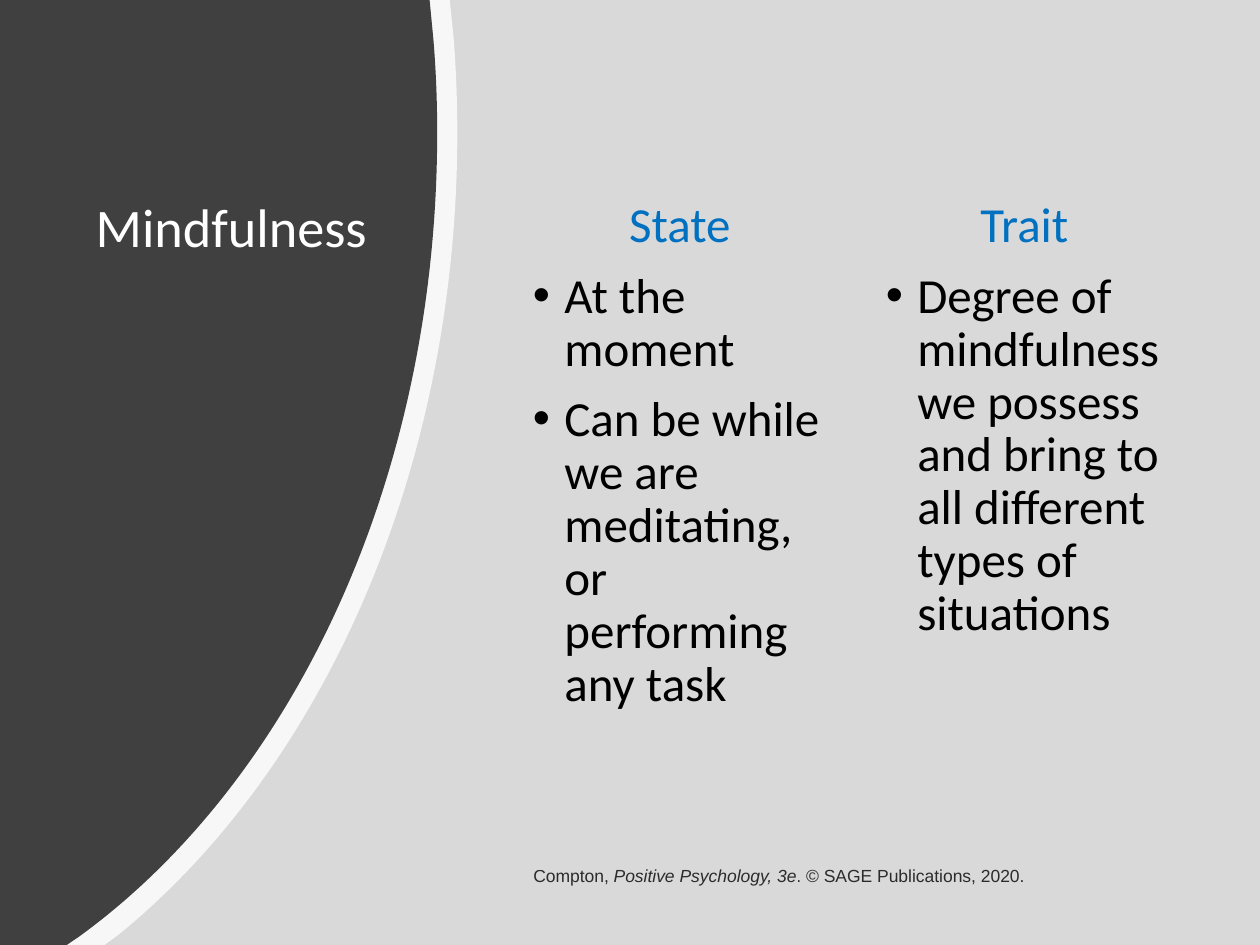
from dataclasses import dataclass

from lxml import etree
from pptx import Presentation
from pptx.dml.color import RGBColor
from pptx.enum.shapes import MSO_SHAPE
from pptx.enum.text import MSO_ANCHOR, MSO_AUTO_SIZE, PP_ALIGN
from pptx.oxml.ns import qn
from pptx.util import Inches, Pt

RECT = MSO_SHAPE.RECTANGLE
TOP, MID = MSO_ANCHOR.TOP, MSO_ANCHOR.MIDDLE
LEFT, CENTER, RIGHT = PP_ALIGN.LEFT, PP_ALIGN.CENTER, PP_ALIGN.RIGHT
FIXED = MSO_AUTO_SIZE.NONE


@dataclass(frozen=True)
class Theme:
    back: str = "D9D9D9"
    dark: str = "404040"
    light: str = "FFFFFF"
    head: str = "0070C0"
    ink: str = "000000"
    body: str = "Calibri"
    note: str = "Arial"
    title_size: float = 31
    body_size: float = 28
    note_size: float = 10
    alpha: int = 80


THEME = Theme()


def paint(fill, color, alpha=100):
    """Fill with a solid colour, see-through when alpha is below 100."""
    fill.solid()
    fill.fore_color.rgb = RGBColor.from_string(color)
    if alpha < 100:
        for node in fill._xPr.iter(qn("a:srgbClr")):
            etree.SubElement(node, qn("a:alpha"), val=str(alpha * 1000))


def write(para, text, *, size, color, font=THEME.body, align=LEFT, line=None,
          before=0, after=0, bullet=None, italic=None, alpha=100):
    """Add a run of text to a paragraph and format both."""
    props = para._p.get_or_add_pPr()
    indent = Inches(0.25) if bullet else 0
    props.set("marL", str(indent))
    props.set("indent", str(-indent))
    if bullet and props.find(qn("a:buChar")) is None:
        etree.SubElement(props, qn("a:buChar"), char=bullet)
    elif not bullet and props.find(qn("a:buNone")) is None:
        etree.SubElement(props, qn("a:buNone"))
    para.alignment = align
    para.line_spacing = line
    para.space_before, para.space_after = Pt(before), Pt(after)
    run = para.add_run()
    run.text = text
    run.font.name, run.font.size = font, Pt(size)
    run.font.italic = italic
    paint(run.font.fill, color, alpha)


def place(holder, box):
    """Move a placeholder to its box, in front of the backdrop."""
    holder.left, holder.top, holder.width, holder.height = map(Inches, box)
    holder.element.getparent().append(holder.element)
    frame = holder.text_frame
    frame.word_wrap, frame.auto_size = True, FIXED
    frame.vertical_anchor = TOP
    return frame


def bend(lines):
    """Turn three successive line segments into one cubic curve."""
    curve = etree.Element(qn("a:cubicBezTo"))
    lines[0].addprevious(curve)
    for line in lines:
        curve.append(line[0])
        line.getparent().remove(line)


def sweep(slide, box, edge, color, alpha=100):
    """Panel with a right edge of two lines, two curves and a line."""
    left, top, _, height = box
    pen = slide.shapes.build_freeform(Inches(left), Inches(top))
    pen.add_line_segments([(Inches(left + x), Inches(top + y))
                           for x, y in [*edge, (0, height)]])
    shape = pen.convert_to_shape()
    lines = list(shape.element.iter(qn("a:lnTo")))
    bend(lines[2:5])
    bend(lines[5:8])
    shape.shadow.inherit = False
    shape.line.fill.background()
    paint(shape.fill, color, alpha)


def backdrop(slide, box):
    rect = slide.shapes.add_shape(RECT, *map(Inches, box))
    rect.shadow.inherit = False
    rect.line.fill.background()
    paint(rect.fill, THEME.back)
    # Pale rim, then the dark panel over it
    sweep(slide, box,
          [(3.57, 0), (3.6, 0.29), (3.62, 0.54), (3.63, 0.8), (3.63, 1.05),
           (3.63, 3.75), (2.55, 6.11), (0.94, 7.42), (0.83, 7.5)],
          THEME.light, THEME.alpha)
    sweep(slide, box,
          [(3.41, 0), (3.44, 0.31), (3.46, 0.55), (3.47, 0.8), (3.47, 1.05),
           (3.47, 3.81), (2.32, 6.21), (0.62, 7.44), (0.53, 7.5)],
          THEME.dark)


def heading(holder, box, text):
    frame = place(holder, box)
    frame.margin_right = 0
    write(frame.paragraphs[0], text, size=THEME.title_size,
          color=THEME.light, line=0.9)


def column(holder, box, head, items):
    frame = place(holder, box)
    write(frame.paragraphs[0], head, size=THEME.body_size, color=THEME.head,
          align=CENTER, line=0.9)
    for item in items:
        write(frame.add_paragraph(), item, size=THEME.body_size,
              color=THEME.ink, line=0.9, before=10, bullet="•")


def credit(slide, box, parts):
    frame = slide.shapes.add_textbox(*map(Inches, box)).text_frame
    frame.word_wrap, frame.vertical_anchor = True, MID
    frame.margin_right = Inches(0.77)
    for text, italic in parts:
        write(frame.paragraphs[0], text, size=THEME.note_size,
              color=THEME.ink, font=THEME.note, align=RIGHT, after=6,
              italic=italic, alpha=THEME.alpha)


def main():
    deck = Presentation()
    deck.slide_width, deck.slide_height = Inches(10), Inches(7.5)
    slide = deck.slides.add_slide(deck.slide_layouts[3])
    title, state, trait = slide.placeholders

    backdrop(slide, (0, 0, 10, 7.5))
    heading(title, (0.66, 1.54, 2.35, 2.36), "Mindfulness")
    column(state, (4.13, 1.54, 2.53, 4.77), "State", [
        "At the moment",
        "Can be while we are meditating, or performing any task",
    ])
    column(trait, (6.93, 1.54, 2.4, 4.77), "Trait", [
        "Degree of mindfulness we possess and bring to all different "
        "types of situations",
    ])
    credit(slide, (3.45, 6.75, 5.45, 0.4), [
        ("Compton, ", False),
        ("Positive Psychology, 3e", True),
        (". © SAGE Publications, 2020.", False),
    ])
    deck.save("out.pptx")


if __name__ == "__main__":
    main()
